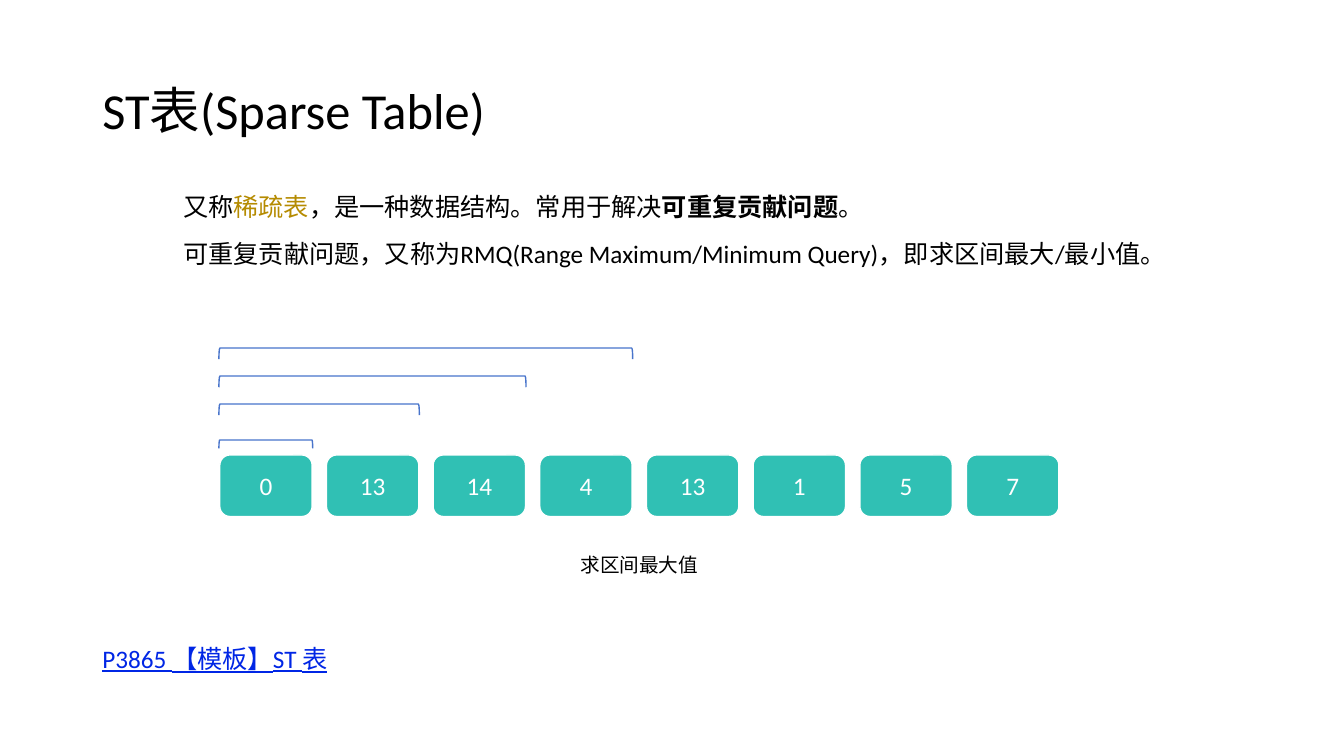
from lxml.etree import SubElement
from pptx import Presentation
from pptx.dml.color import RGBColor
from pptx.enum.shapes import MSO_SHAPE
from pptx.enum.text import MSO_ANCHOR, PP_ALIGN
from pptx.oxml.ns import qn
from pptx.util import Pt

INK = {"text": "000000", "link": "0026E5", "gold": "B58B01",
       "card": "30C0B4", "white": "FFFFFF", "line": "4874CB"}
CJK = "Noto Sans CJK SC"


class Board:
    def __init__(self, deck):
        self.slide = deck.slides.add_slide(deck.slide_layouts[6])
        self.font = "Calibri"
        self.size = 18

    def color(self, name):
        return RGBColor.from_string(INK[name])

    def add_run(self, para, words, ink="text", **style):
        run = para.add_run()
        run.text = words
        form = {"name": self.font, "size": Pt(self.size), **style}
        for key, value in form.items():
            setattr(run.font, key, value)
        run.font.color.rgb = self.color(ink)
        SubElement(run.font._element, qn("a:ea"), typeface=CJK)

    def text(self, box, *runs, anchor=MSO_ANCHOR.TOP, space=1.0):
        """Add a text box; each run is (words, style dict)."""
        frame = self.slide.shapes.add_textbox(*map(Pt, box)).text_frame
        frame.word_wrap = True
        frame.vertical_anchor = anchor
        para = frame.paragraphs[0]
        para.line_spacing = space
        for words, style in runs:
            self.add_run(para, words, **style)

    def shape(self, kind, box, line):
        item = self.slide.shapes.add_shape(kind, *map(Pt, box))
        item.shadow.inherit = False
        item.line.color.rgb = self.color(line)
        item.line.width = Pt(1)
        return item

    def card(self, box, label):
        item = self.shape(MSO_SHAPE.ROUNDED_RECTANGLE, box, "white")
        item.fill.solid()
        item.fill.fore_color.rgb = self.color("card")
        item.text_frame.vertical_anchor = MSO_ANCHOR.MIDDLE
        para = item.text_frame.paragraphs[0]
        para.alignment = PP_ALIGN.CENTER
        self.add_run(para, label, "white")

    def brace(self, left, top, span, depth):
        """Add a bracket that opens downward, placed by its visible box."""
        x = left + (span - depth) / 2
        y = top + (depth - span) / 2
        item = self.shape(MSO_SHAPE.RIGHT_BRACKET, (x, y, depth, span), "line")
        item.rotation = 270
        item.fill.background()


def main():
    deck = Presentation()
    deck.slide_width, deck.slide_height = Pt(960), Pt(540)
    board = Board(deck)

    board.text((66, 28.8, 828, 104.4), ("ST表(Sparse Table)", {"size": Pt(36)}),
               anchor=MSO_ANCHOR.MIDDLE, space=0.9)
    board.text((66, 455.8, 180, 29),
               ("P3865 【模板】ST 表", {"ink": "link", "underline": True}))
    board.text((123.8, 133.2, 712, 29),
               ("又称", {}), ("稀疏表", {"ink": "gold"}),
               ("，是一种数据结构。常用于解决", {}),
               ("可重复贡献问题", {"bold": True}), ("。", {}))
    board.text((123.8, 166.5, 713.5, 29),
               ("可重复贡献问题，又称为RMQ(Range Maximum/Minimum Query)，"
                "即求区间最大/最小值。", {}))

    left, step, width = 157, 76.2, 66
    for i, value in enumerate([0, 13, 14, 4, 13, 1, 5, 7]):
        board.card((left + i * step, 325, width, 44), str(value))
    for i, (top, depth) in enumerate([(314.3, 6), (288.6, 8), (268.6, 8), (248.6, 8)]):
        board.brace(left - 0.6, top, width + 1 + i * step, depth)

    board.text((407.5, 391.7, 106.6, 24.5),
               ("求区间最大值", {"name": CJK, "size": Pt(14)}))
    deck.save("out.pptx")


if __name__ == "__main__":
    main()
